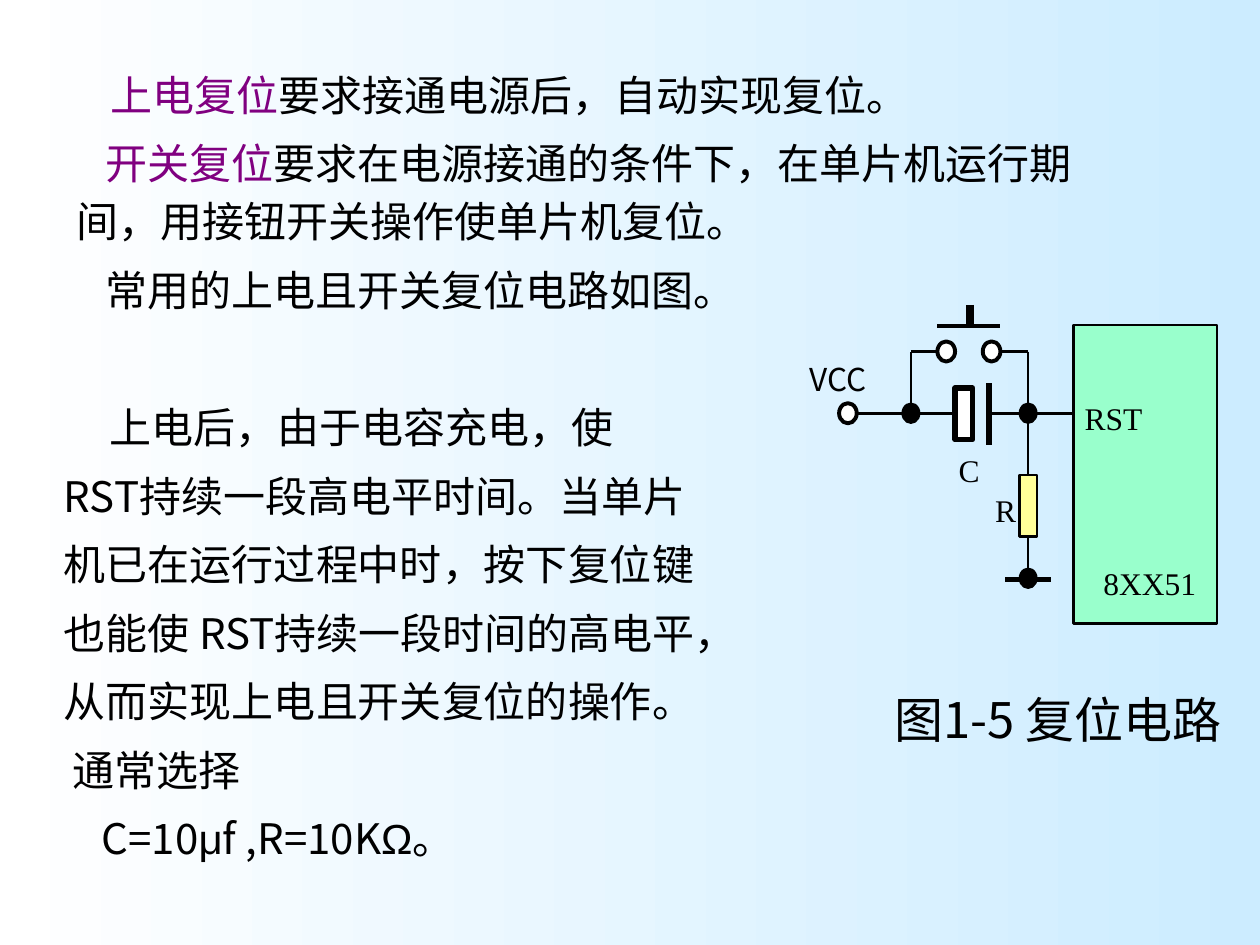
"""Build the slide on power-on and switch reset with its circuit diagram."""
from lxml import etree
from pptx import Presentation, util as u
from pptx.dml.color import RGBColor
from pptx.enum import shapes, text
from pptx.oxml.ns import qn

BLACK = RGBColor(0, 0, 0)
WHITE = RGBColor(255, 255, 255)
SKY = RGBColor(0xCC, 0xEC, 0xFF)
PURPLE = RGBColor(0x80, 0, 0x80)
MINT = RGBColor(0x99, 0xFF, 0xCC)
YELLOW = RGBColor(0xFF, 0xFF, 0x99)
SANS, SERIF, GREEK = "Noto Sans CJK SC", "Times New Roman", "Arial"

SLIDE_SIZE = (10, 7.5)
NODE_SIZE = (0.14, 0.16)
LEFT_X, RIGHT_X = 7.23, 8.16
MAIN_Y, SWITCH_Y, GROUND_Y = 3.28, 2.79, 4.59

DEFINITIONS = [
    (0.27, [("上电复位", PURPLE, SANS),
            ("要求接通电源后，自动实现复位。", BLACK, SANS)]),
    (0.23, [("开关复位", PURPLE, SANS),
            ("要求在电源接通的条件下，在单片机运行期间，用接钮开关操作使单片机复位。",
             BLACK, SANS)]),
    (0.23, [("常用的上电且开关复位电路如图。", BLACK, SANS)]),
]
EXPLANATION = [
    (0.44, [("上电后，由于电容充电，使", BLACK, SANS)]),
    (0.08, [("RST持续一段高电平时间。当单片", BLACK, SANS)]),
    (0.08, [("机已在运行过程中时，按下复位键", BLACK, SANS)]),
    (0.08, [("也能使 RST持续一段时间的高电平，", BLACK, SANS)]),
    (0.08, [("从而实现上电且开关复位的操作。", BLACK, SANS)]),
    (0.15, [("通常选择", BLACK, SANS)]),
    (0.38, [("C=10", BLACK, SANS), ("μ", BLACK, GREEK), ("f ,R=10K", BLACK, SANS),
            ("Ω", BLACK, GREEK), ("。", BLACK, SANS)]),
]
LABELS = [
    ("RST", 8.51, 3.12, 0.79, 0.4, 18, SERIF, 1),
    ("8XX51", 8.66, 4.43, 1, 0.4, 18, SERIF, 1),
    ("R", 7.8, 3.85, 0.36, 0.4, 18, SERIF, 1),
    ("C", 7.51, 3.53, 0.36, 0.4, 18, SERIF, 1),
    ("VCC", 6.33, 2.75, 0.89, 0.46, 18, SANS, 1.2),
    ("图1-5 复位电路", 7, 5.33, 3, 0.66, 28, SANS, 1.2),
]
WIRES = [
    (6.8, MAIN_Y, 7.59, MAIN_Y, 1.5),
    (7.87, MAIN_Y, 8.51, MAIN_Y, 1.5),
    (LEFT_X, SWITCH_Y, LEFT_X, MAIN_Y, 1.5),
    (LEFT_X, SWITCH_Y, 7.44, SWITCH_Y, 2.25),
    (7.94, SWITCH_Y, RIGHT_X, SWITCH_Y, 2.25),
    (RIGHT_X, SWITCH_Y, RIGHT_X, 3.77, 1.5),
    (RIGHT_X, 4.26, RIGHT_X, GROUND_Y, 1.5),
    (7.85, 3.04, 7.85, 3.53, 3),
    (7.44, 2.59, 7.94, 2.59, 2.25),
    (7.7, 2.42, 7.7, 2.58, 4.5),
    (7.98, 4.6, 8.34, 4.6, 3),
]
CHIP = (8.52, 2.58, 1.14, 2.37, MINT, 1.5)
CAPACITOR = (7.58, 3.08, 0.14, 0.41, WHITE, 3)
RESISTOR = (8.09, 3.77, 0.14, 0.49, YELLOW, 1.5)
JUNCTIONS = [(LEFT_X, MAIN_Y), (RIGHT_X, MAIN_Y), (RIGHT_X, GROUND_Y)]
TERMINALS = [(6.73, MAIN_Y), (7.51, SWITCH_Y), (7.87, SWITCH_Y)]


def add_shape(page, kind, left, top, width, height, fill, line_width):
    shape = page.shapes.add_shape(kind, *map(u.Inches, (left, top, width, height)))
    shape.shadow.inherit = False
    shape.fill.solid()
    shape.fill.fore_color.rgb = fill
    shape.line.color.rgb = BLACK
    shape.line.width = u.Pt(line_width)


def add_node(page, center, fill, line_width):
    corner = [middle - size / 2 for middle, size in zip(center, NODE_SIZE)]
    add_shape(page, shapes.MSO_SHAPE.FLOWCHART_CONNECTOR, *corner, *NODE_SIZE,
              fill, line_width)


def add_wire(page, x1, y1, x2, y2, width):
    wire = page.shapes.add_connector(shapes.MSO_CONNECTOR.STRAIGHT,
                                     *map(u.Inches, (x1, y1, x2, y2)))
    wire.line.color.rgb = BLACK
    wire.line.width = u.Pt(width)
    etree.SubElement(wire._element.spPr, qn("a:effectLst"))


def format_span(span, size, color, font):
    span.font.size = u.Pt(size)
    span.font.color.rgb = color
    span.font.name = font
    etree.SubElement(span._r.get_or_add_rPr(), qn("a:ea"), typeface=font)


def add_label(page, words, left, top, width, height, size, font, spacing):
    box = page.shapes.add_textbox(*map(u.Inches, (left, top, width, height)))
    box.text_frame.text = words
    para = box.text_frame.paragraphs[0]
    para.line_spacing = float(spacing)
    format_span(para.runs[0], size, BLACK, font)


def add_prose(page, paragraphs, left, top, width, height):
    box = page.shapes.add_textbox(*map(u.Inches, (left, top, width, height)))
    frame = box.text_frame
    frame.word_wrap = True
    frame.vertical_anchor = text.MSO_ANCHOR.TOP
    for index, (indent, spans) in enumerate(paragraphs):
        para = frame.add_paragraph() if index else frame.paragraphs[0]
        para.line_spacing = 1.15
        para.space_before = u.Pt(6 if index else 0)
        para._p.get_or_add_pPr().set("indent", str(u.Inches(indent)))
        for words, color, font in spans:
            span = para.add_run()
            span.text = words
            format_span(span, 24, color, font)


def paint_background(page):
    fill = page.background.fill
    fill.gradient()
    fill.gradient_angle = 0
    for stop, color in zip(fill.gradient_stops, (WHITE, SKY)):
        stop.color.rgb = color


def main():
    deck = Presentation()
    deck.slide_width, deck.slide_height = map(u.Inches, SLIDE_SIZE)
    page = deck.slides.add_slide(deck.slide_layouts[6])
    paint_background(page)
    add_prose(page, EXPLANATION, 0.33, 3.08, 6, 4.2)
    add_shape(page, shapes.MSO_SHAPE.RECTANGLE, *CHIP)
    for wire in WIRES:
        add_wire(page, *wire)
    for part in (CAPACITOR, RESISTOR):
        add_shape(page, shapes.MSO_SHAPE.RECTANGLE, *part)
    for center in JUNCTIONS:
        add_node(page, center, BLACK, 0.75)
    for center in TERMINALS:
        add_node(page, center, WHITE, 2.25)
    for label in LABELS:
        add_label(page, *label)
    add_prose(page, DEFINITIONS, 0.51, 0.44, 8.3, 2.3)
    deck.save("out.pptx")


if __name__ == "__main__":
    main()
